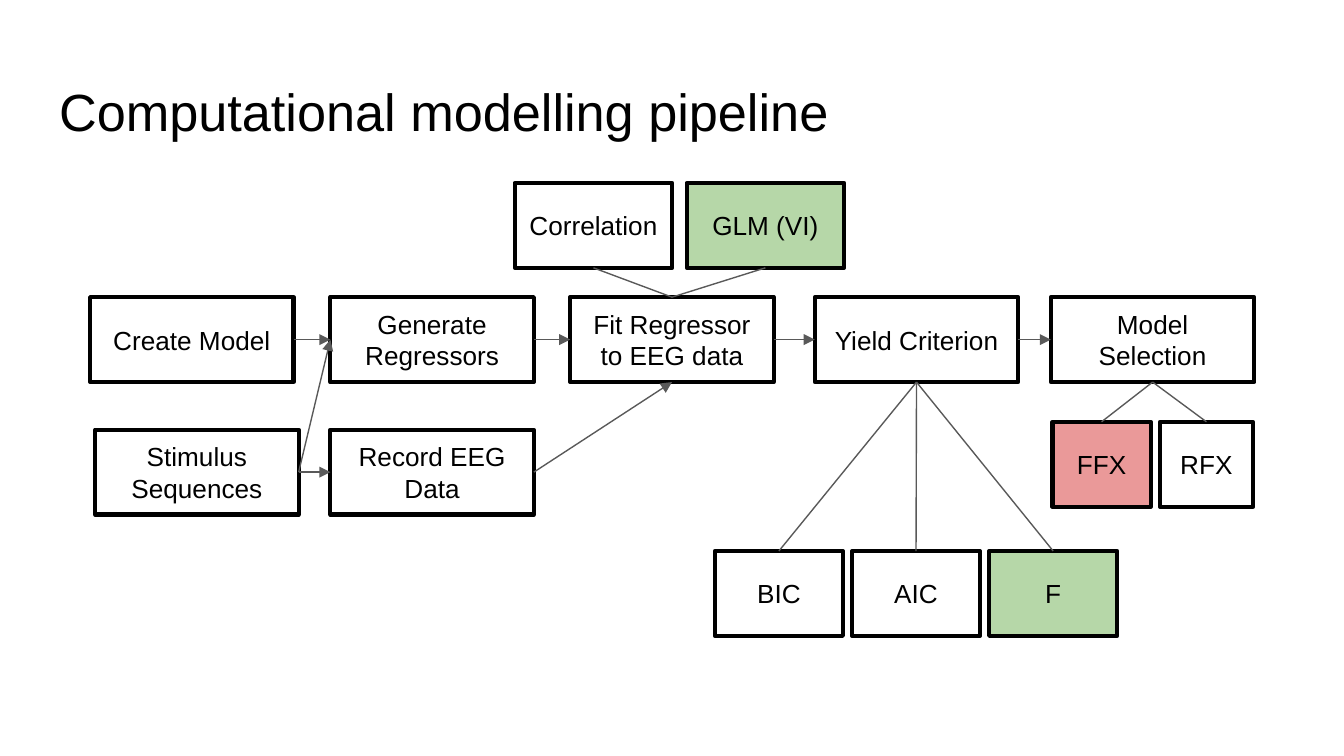
from dataclasses import dataclass

from pptx import Presentation
from pptx.dml.color import RGBColor as RGB
from pptx.enum.shapes import MSO_CONNECTOR as CONN, MSO_SHAPE as SHAPE
from pptx.enum.text import MSO_ANCHOR as ANCHOR, PP_ALIGN as ALIGN
from pptx.oxml.ns import qn
from pptx.util import Pt
from lxml.etree import SubElement

TOP, LEFT, BOTTOM, RIGHT = range(4)


@dataclass(frozen=True)
class Theme:
    """Colours, font and sizes of the deck."""
    font: str = "Arial"
    title: float = 28
    body: float = 14
    inset: float = 7.2
    border: float = 2.25
    rule: float = 0.75
    ink: RGB = RGB(0, 0, 0)
    grey: RGB = RGB(0x59, 0x59, 0x59)
    chosen: RGB = RGB(0xB6, 0xD7, 0xA8)
    rejected: RGB = RGB(0xEA, 0x99, 0x99)


T = Theme()


def write(tf, text, size=T.body, align=ALIGN.CENTER, anchor=ANCHOR.MIDDLE):
    """Fill a text frame with one formatted paragraph."""
    tf.word_wrap = True
    tf.vertical_anchor = anchor
    tf.margin_left = tf.margin_right = tf.margin_top = tf.margin_bottom = Pt(T.inset)
    p = tf.paragraphs[0]
    p.alignment = align
    r = p.add_run()
    r.text = text
    r.font.name, r.font.size, r.font.color.rgb = T.font, Pt(size), T.ink


def node(s, box, text, fill=None):
    """Draw one outlined box with centred text."""
    sp = s.shapes.add_shape(SHAPE.RECTANGLE, *map(Pt, box))
    sp.shadow.inherit = False
    if fill is None:
        sp.fill.background()
    else:
        sp.fill.solid()
        sp.fill.fore_color.rgb = fill
    sp.line.color.rgb, sp.line.width = T.ink, Pt(T.border)
    write(sp.text_frame, text)
    return sp


def link(s, start, start_site, end, end_site, arrow=True):
    """Glue a line between two boxes."""
    c = s.shapes.add_connector(CONN.STRAIGHT, 0, 0, 0, 0)
    c.begin_connect(start, start_site)
    c.end_connect(end, end_site)
    c.line.color.rgb, c.line.width = T.grey, Pt(T.rule)
    if arrow:
        SubElement(c.line._get_or_add_ln(), qn("a:tailEnd"), type="triangle")
    SubElement(c._element.spPr, qn("a:effectLst"))


def title(s, box, text):
    """Place and format the title placeholder."""
    sp = s.shapes.title
    sp.left, sp.top, sp.width, sp.height = map(Pt, box)
    write(sp.text_frame, text, size=T.title, align=ALIGN.LEFT, anchor=ANCHOR.TOP)


def steps(s, box, width, cells):
    """Draw a row of steps at offsets from the box, joined by arrows."""
    left, top, height = box
    nodes = [node(s, (left + dx, top, width, height), text) for text, dx in cells]
    for a, b in zip(nodes, nodes[1:]):
        link(s, a, RIGHT, b, LEFT)
    return nodes


def options(s, box, gap, parent, sites, cells):
    """Share the box among options by weight and join each to its parent."""
    left, top, width, height = box
    unit = (width - gap * (len(cells) - 1)) / sum(weight for _, weight, _ in cells)
    for text, weight, fill in cells:
        sp = node(s, (left, top, unit * weight, height), text, fill)
        link(s, parent, sites[0], sp, sites[1], arrow=False)
        left += unit * weight + gap


def pipeline_slide(prs):
    """Build the modelling pipeline slide."""
    s = prs.slides.add_slide(prs.slide_layouts[5])
    title(s, (24.5, 35.3, 671, 45.4), "Computational modelling pipeline")
    h, w = 45.5, 109
    _, regressors, fit, criterion, selection = steps(s, (48.3, 159.2, h), w, [
        ("Create Model", 0), ("Generate Regressors", 128.7),
        ("Fit Regressor to EEG data", 257.2), ("Yield Criterion", 388.2),
        ("Model Selection", 514.7)])
    stimulus, record = steps(s, (51, 230.2, h), w, [
        ("Stimulus Sequences", 0), ("Record EEG Data", 126)])
    link(s, stimulus, RIGHT, regressors, LEFT)
    link(s, record, RIGHT, fit, BOTTOM)
    options(s, (275.8, 98, 176.4, h), 7.8, fit, (TOP, BOTTOM), [
        ("Correlation", 1, None), ("GLM (VI)", 1, T.chosen)])
    options(s, (383, 295.2, 215.5, h), 4.9, criterion, (BOTTOM, TOP), [
        ("BIC", 1, None), ("AIC", 1, None), ("F", 1, T.chosen)])
    options(s, (563.8, 226, 107.4, h), 5, selection, (BOTTOM, TOP), [
        ("FFX", 0.73, T.rejected), ("RFX", 0.69, None)])


def main():
    """Create and save the deck."""
    prs = Presentation()
    prs.slide_width, prs.slide_height = Pt(720), Pt(405)
    pipeline_slide(prs)
    prs.save("out.pptx")


if __name__ == "__main__":
    main()
